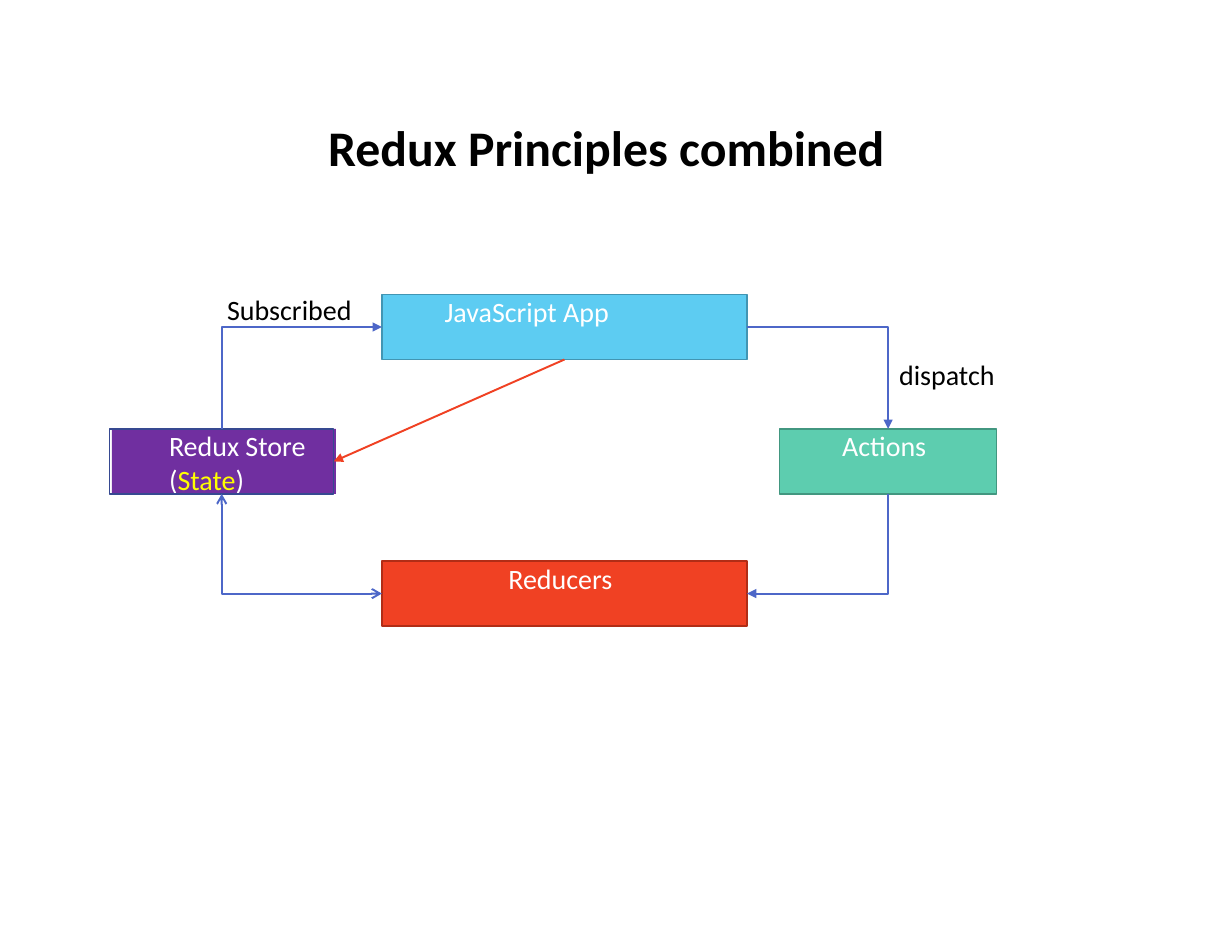
from lxml import etree
from pptx import Presentation
from pptx.dml.color import RGBColor
from pptx.enum.shapes import MSO_CONNECTOR, MSO_SHAPE
from pptx.enum.text import MSO_ANCHOR, MSO_AUTO_SIZE, PP_ALIGN
from pptx.oxml.ns import qn
from pptx.util import Inches, Pt

RECT, STRAIGHT = MSO_SHAPE.RECTANGLE, MSO_CONNECTOR.STRAIGHT
TOP, LEFT, NO_FIT = MSO_ANCHOR.TOP, PP_ALIGN.LEFT, MSO_AUTO_SIZE.NONE

BLACK = RGBColor(0x00, 0x00, 0x00)
WHITE = RGBColor(0xFF, 0xFF, 0xFF)
YELLOW = RGBColor(0xFF, 0xFF, 0x00)
SKY = RGBColor(0x5D, 0xCC, 0xF2)
SKY_EDGE = RGBColor(0x42, 0x95, 0xB3)
GREEN = RGBColor(0x5D, 0xCD, 0xAF)
GREEN_EDGE = RGBColor(0x42, 0x97, 0x80)
RED = RGBColor(0xF0, 0x41, 0x23)
RED_EDGE = RGBColor(0xB1, 0x2D, 0x16)
PURPLE = RGBColor(0x70, 0x2F, 0xA0)
STORE_EDGE = RGBColor(0x36, 0x49, 0x91)
BLUE = RGBColor(0x4D, 0x67, 0xC8)

FONT = "Calibri"
BOX_H = 0.58
APP_X, APP_W, APP_Y = 3.41, 3.26, 2.63
STORE_X, STORE_W, MID_Y = 1, 2, 3.83
ACTIONS_X, ACTIONS_W = 6.96, 1.94
REDUCERS_Y = 5.01


def add_run(p, text, color=BLACK, size=18, bold=False):
    r = p.add_run()
    r.text = text
    r.font.name, r.font.size, r.font.bold = FONT, Pt(size), bold
    r.font.color.rgb = color


def add_rect(s, x, y, w, fill=None, edge=None):
    sp = s.shapes.add_shape(RECT, Inches(x), Inches(y), Inches(w), Inches(BOX_H))
    sp.shadow.inherit = False
    if fill is None:
        sp.fill.background()
    else:
        sp.fill.solid()
        sp.fill.fore_color.rgb = fill
    if edge is None:
        sp.line.fill.background()
    else:
        sp.line.color.rgb = edge
        sp.line.width = Pt(0.84)
    return sp


def write_lines(sp, lines, indent):
    """Write lines of (text, color) runs from the top left, moved in by indent inches."""
    tf = sp.text_frame
    tf.margin_left = tf.margin_top = tf.margin_right = tf.margin_bottom = 0
    tf.vertical_anchor = TOP
    for i, runs in enumerate(lines):
        p = tf.paragraphs[0] if i == 0 else tf.add_paragraph()
        p.alignment = LEFT
        p._p.get_or_add_pPr().set("marL", str(Inches(indent)))
        for text, color in runs:
            add_run(p, text, color)


def style_line(sp, color, head="triangle", both_ends=False):
    sp.line.color.rgb = color
    sp.line.width = Pt(1.25)
    ln = sp.line._get_or_add_ln()
    for tag in ("a:headEnd", "a:tailEnd") if both_ends else ("a:tailEnd",):
        etree.SubElement(ln, qn(tag), type=head, w="med", len="med")


def add_elbow(s, start, corner, end, head="triangle", both_ends=False):
    points = [(Inches(x), Inches(y)) for x, y in (start, corner, end)]
    builder = s.shapes.build_freeform(*points[0])
    builder.add_line_segments(points[1:], close=False)
    sp = builder.convert_to_shape()
    sp.shadow.inherit = False
    sp.fill.background()
    style_line(sp, BLUE, head, both_ends)


def add_arrow(s, start, end, color):
    sp = s.shapes.add_connector(STRAIGHT, *(Inches(v) for v in start + end))
    etree.SubElement(sp._element.spPr, qn("a:effectLst"))
    style_line(sp, color)


def add_label(s, text, x, y, w):
    sp = s.shapes.add_textbox(Inches(x), Inches(y), Inches(w), Inches(0.4))
    sp.text_frame.word_wrap = False
    add_run(sp.text_frame.paragraphs[0], text)


def add_title(s, text):
    sp = s.shapes.title
    sp.left, sp.top = Inches(2.83), Inches(0.99)
    sp.width, sp.height = Inches(6.83), Inches(0.64)
    tf = sp.text_frame
    tf.auto_size = NO_FIT
    tf.vertical_anchor = TOP
    p = tf.paragraphs[0]
    p.alignment = LEFT
    add_run(p, text, size=32, bold=True)


def main():
    prs = Presentation()
    prs.slide_width, prs.slide_height = Inches(11), Inches(8.5)
    s = prs.slides.add_slide(prs.slide_layouts[5])
    add_title(s, "Redux Principles combined")

    boxes = [
        ("JavaScript App", APP_X, APP_Y, APP_W, SKY, SKY_EDGE, 0.56),
        ("Actions", ACTIONS_X, MID_Y, ACTIONS_W, GREEN, GREEN_EDGE, 0.56),
        ("Reducers", APP_X, REDUCERS_Y, APP_W, RED, RED_EDGE, 1.13),
    ]
    for text, x, y, w, fill, edge, indent in boxes:
        write_lines(add_rect(s, x, y, w, fill, edge), [[(text, WHITE)]], indent)

    store = add_rect(s, STORE_X, MID_Y, STORE_W, PURPLE)
    state = [("(", WHITE), ("State", YELLOW), (")", WHITE)]
    write_lines(store, [[("Redux Store", WHITE)], state], 0.51)
    frame_x = STORE_X - 0.02
    add_rect(s, frame_x, MID_Y, STORE_W, edge=STORE_EDGE)

    store_mid = frame_x + STORE_W / 2
    actions_mid = ACTIONS_X + ACTIONS_W / 2
    app_right = APP_X + APP_W
    app_mid = APP_Y + BOX_H / 2
    reducers_mid = REDUCERS_Y + BOX_H / 2
    mid_bottom = MID_Y + BOX_H
    add_elbow(s, (app_right, app_mid), (actions_mid, app_mid), (actions_mid, MID_Y))
    add_elbow(s, (actions_mid, mid_bottom), (actions_mid, reducers_mid),
              (app_right, reducers_mid))
    add_elbow(s, (store_mid, MID_Y), (store_mid, app_mid), (APP_X, app_mid))
    add_elbow(s, (store_mid, mid_bottom), (store_mid, reducers_mid),
              (APP_X, reducers_mid), head="arrow", both_ends=True)
    add_arrow(s, (APP_X + APP_W / 2, APP_Y + BOX_H),
              (frame_x + STORE_W, MID_Y + BOX_H / 2), RED)

    add_label(s, "Subscribed", 1.93, 2.56, 1.33)
    add_label(s, "dispatch", 7.93, 3.14, 1.06)
    prs.save("out.pptx")


if __name__ == "__main__":
    main()
